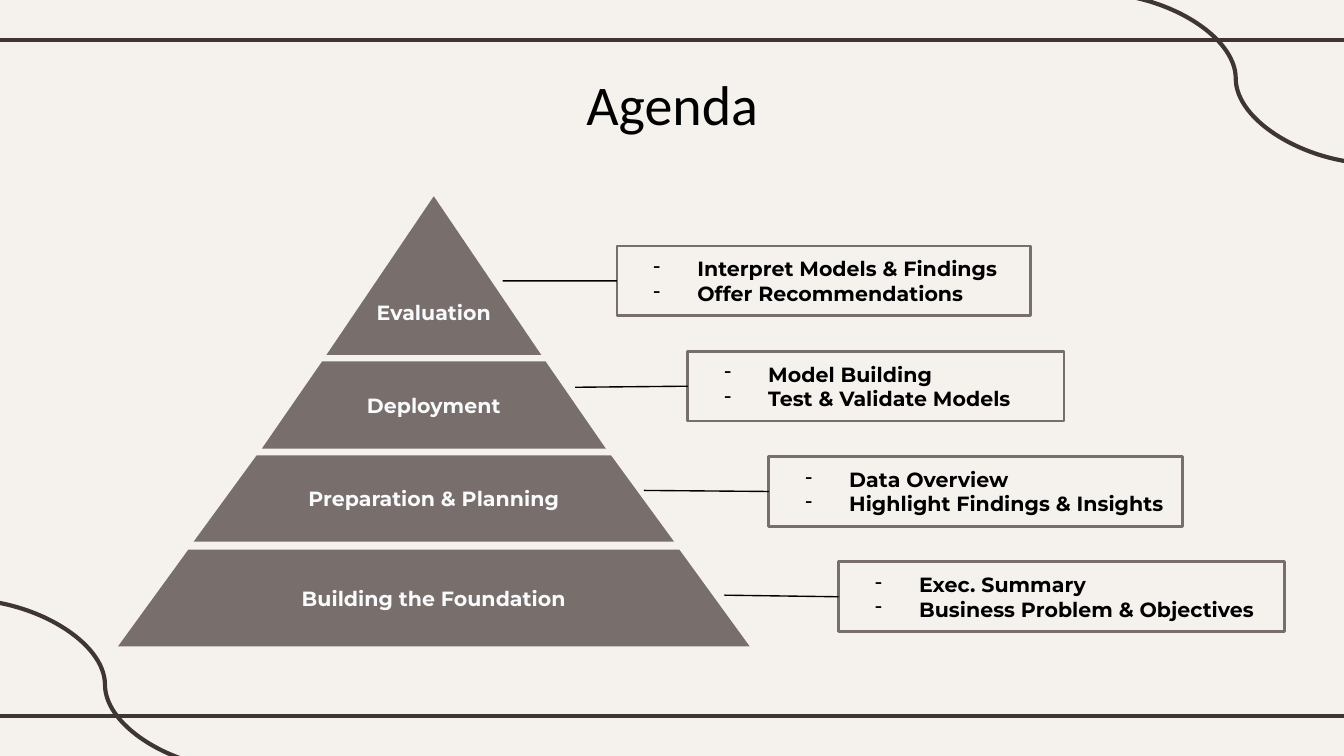
from pptx import Presentation
from pptx.dml.color import RGBColor
from pptx.enum.shapes import MSO_CONNECTOR, MSO_SHAPE
from pptx.enum.text import MSO_ANCHOR, PP_ALIGN
from pptx.oxml.ns import qn
from pptx.util import Cm, Pt
from lxml.etree import SubElement

CREAM, TAUPE, BROWN, BLACK, WHITE = "F5F2EE", "786F6D", "3F3533", "000000", "F8FAFB"
INSET = 0.25

# Lengths in cm. Each level: band top, bottom, half widths; callout left, width;
# start point of the leader line.
LEVELS = [
    ("Evaluation", ["Interpret Models & Findings", "Offer Recommendations"],
     (3.71, 6.71, 0, 2.03), (11.66, 7.82), (9.5, 5.31)),
    ("Deployment", ["Model Building", "Test & Validate Models"],
     (6.83, 8.48, 2.11, 3.25), (13.0, 7.11), (10.87, 7.32)),
    ("Preparation & Planning", ["Data Overview", "Highlight Findings & Insights"],
     (8.61, 10.24, 3.35, 4.54), (14.53, 7.82), (12.17, 9.27)),
    ("Building the Foundation", ["Exec. Summary", "Business Problem & Objectives"],
     (10.39, 12.22, 4.64, 5.97), (15.85, 8.43), (13.69, 11.25)),
]
PYRAMID_CENTER = 8.2
CALLOUT_TOP, CALLOUT_STEP, CALLOUT_HEIGHT = 4.65, 1.99, 1.32
APEX_TEXT_DROP = 1.37

RULES = [0.75, 13.54]
CURVES = [(-0.69, 11.33), (20.68, -0.13)]
CURVE_SIZE = (5.35, 3.23)


def color(value):
    return RGBColor.from_string(value)


def add_line(page, start, end, line_color, width, kind=MSO_CONNECTOR.STRAIGHT):
    line = page.shapes.add_connector(kind, *map(Cm, start + end))
    line.line.color.rgb = color(line_color)
    line.line.width = Pt(width)
    SubElement(line._element.spPr, qn("a:effectLst"))


def set_frame(shape, anchor):
    frame = shape.text_frame
    frame.word_wrap = True
    frame.vertical_anchor = anchor
    frame.margin_left = frame.margin_right = Cm(INSET)
    frame.margin_top = frame.margin_bottom = Cm(INSET)
    return frame


def add_text(para, text, size, font, text_color, bold, align):
    para.alignment = align
    span = para.add_run()
    span.text = text
    span.font.size = Pt(size)
    span.font.name = font
    span.font.bold = bold
    span.font.color.rgb = color(text_color)


def add_dash(para):
    props = para._p.get_or_add_pPr()
    props.set("marL", str(Cm(1.27)))
    props.set("indent", str(Cm(-0.83)))
    bullet_color = SubElement(props, qn("a:buClr"))
    SubElement(bullet_color, qn("a:srgbClr"), val=BLACK)
    SubElement(props, qn("a:buChar"), char="-")


def add_band(page, label, top, bottom, half_top, half_bottom):
    corners = [(-half_top, top), (-half_bottom, bottom),
               (half_bottom, bottom), (half_top, top)]
    points = [(Cm(PYRAMID_CENTER + x), Cm(y)) for x, y in corners]
    builder = page.shapes.build_freeform(*points[0])
    builder.add_line_segments(points[1:], close=True)
    band = builder.convert_to_shape()
    band.shadow.inherit = False
    band.fill.solid()
    band.fill.fore_color.rgb = color(TAUPE)
    band.line.fill.background()
    frame = set_frame(band, MSO_ANCHOR.MIDDLE)
    if half_top == 0:
        frame.margin_top = Cm(INSET + APEX_TEXT_DROP)
    add_text(frame.paragraphs[0], label, 11, "Montserrat", WHITE, True, PP_ALIGN.CENTER)


def add_callout(page, items, left, top, width):
    box = page.shapes.add_shape(MSO_SHAPE.RECTANGLE, Cm(left), Cm(top),
                                Cm(width), Cm(CALLOUT_HEIGHT))
    box.shadow.inherit = False
    box.fill.background()
    box.line.color.rgb = color(TAUPE)
    box.line.width = Pt(1.5)
    frame = set_frame(box, MSO_ANCHOR.MIDDLE)
    for index, item in enumerate(items):
        para = frame.add_paragraph() if index else frame.paragraphs[0]
        add_dash(para)
        add_text(para, item, 11, "Montserrat", BLACK, True, PP_ALIGN.LEFT)


def main():
    deck = Presentation()
    deck.slide_width, deck.slide_height = Cm(25.4), Cm(14.29)
    page = deck.slides.add_slide(deck.slide_layouts[6])
    page.background.fill.solid()
    page.background.fill.fore_color.rgb = color(CREAM)

    for y in RULES:
        add_line(page, (-0.2, y), (25.6, y), BROWN, 2.25)
    for x, y in CURVES:
        end = (x + CURVE_SIZE[0], y + CURVE_SIZE[1])
        add_line(page, (x, y), end, BROWN, 2.25, MSO_CONNECTOR.CURVE)

    title = page.shapes.add_textbox(Cm(6.48), Cm(1.07), Cm(12.45), Cm(1.6))
    frame = set_frame(title, MSO_ANCHOR.TOP)
    add_text(frame.paragraphs[0], "Agenda", 30, "Calibri", BLACK, False, PP_ALIGN.CENTER)

    for index, (label, items, band, (left, width), start) in enumerate(LEVELS):
        top = CALLOUT_TOP + index * CALLOUT_STEP
        add_band(page, label, *band)
        add_callout(page, items, left, top, width)
        add_line(page, start, (left, top + CALLOUT_HEIGHT / 2), BLACK, 0.75)

    deck.save("out.pptx")


if __name__ == "__main__":
    main()
